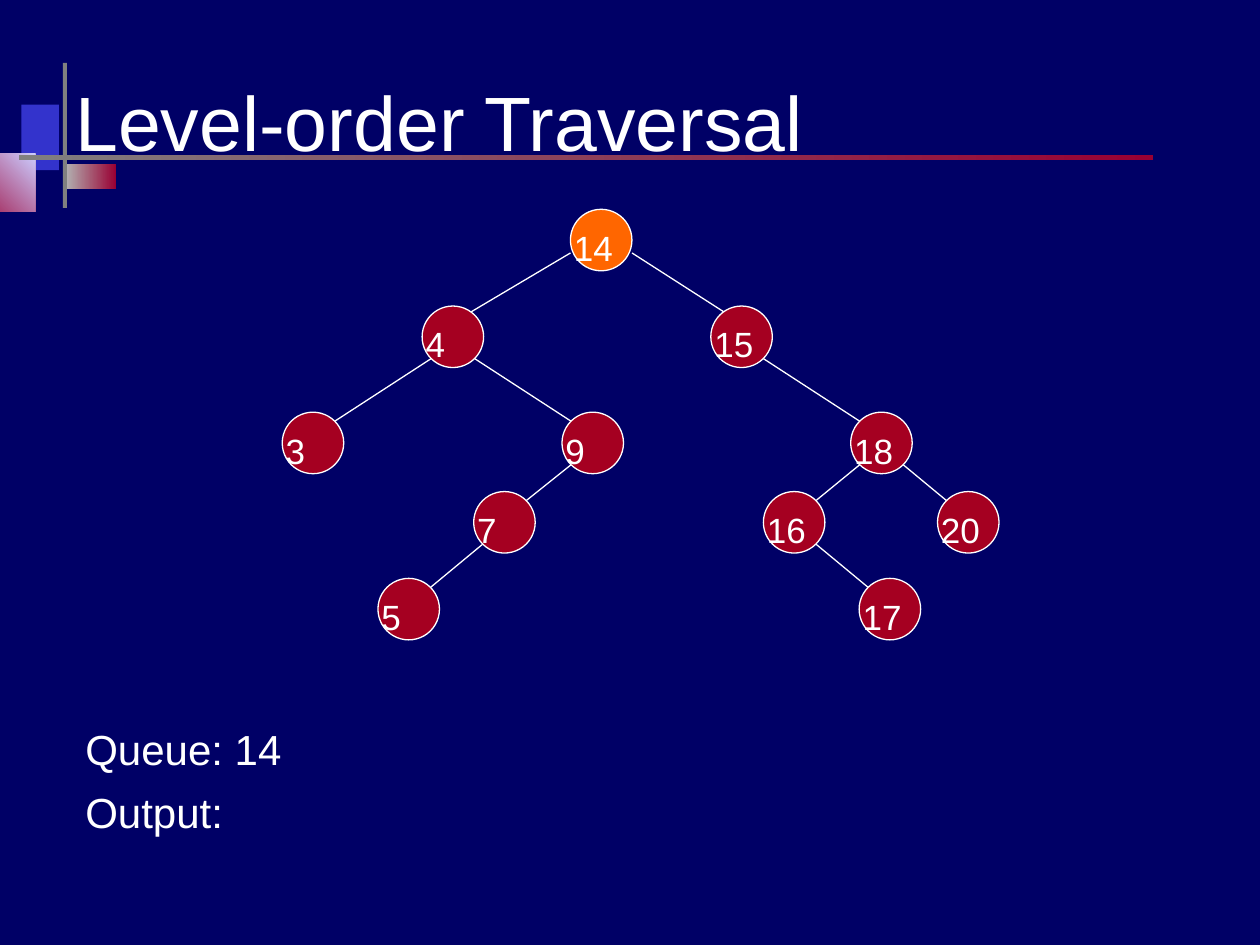
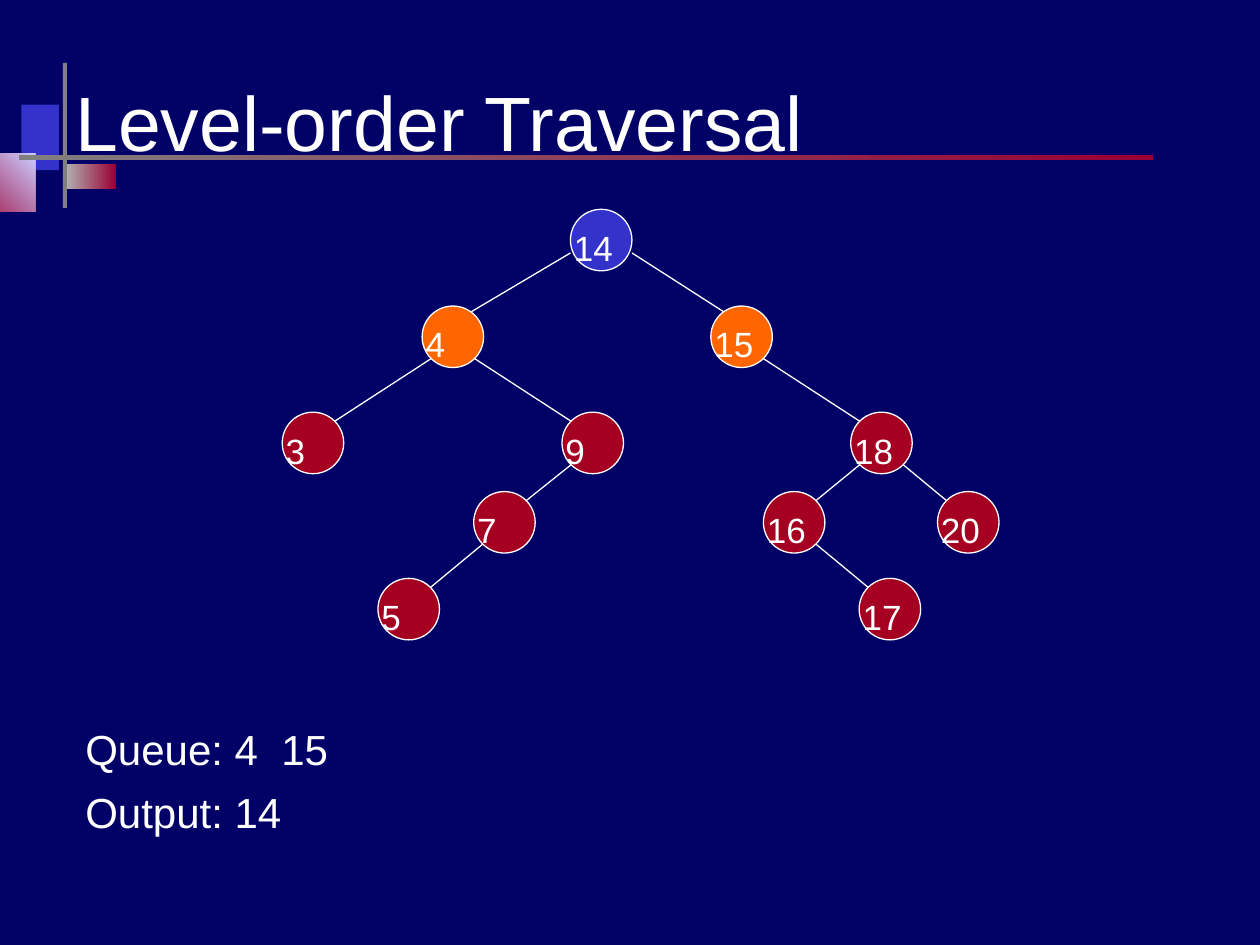
from pptx import Presentation
from pptx.dml.color import RGBColor
from pptx.enum.shapes import MSO_CONNECTOR, MSO_SHAPE
from pptx.enum.text import MSO_ANCHOR
from pptx.oxml.ns import qn
from pptx.util import Cm, Pt
from lxml.etree import SubElement

COLORS = {
    "background": "000066",
    "text": "FFFFFF",
    "visited": "3333CC",
    "queued": "FF6600",
    "waiting": "A50021",
    "block": "3333CC",
    "bar": "808080",
    "silver": "B2B2B2",
    "crimson": "990033",
    "lavender": "CCCCFF",
}
FONT = "Arial"

# Decoration: left, top, width, height, colours, gradient angle
DECORATION = [
    (0.43, 2.11, 0.76, 1.32, ["block"], 0),
    (1.32, 3.3, 1.02, 0.51, ["silver", "crimson"], 0),
    (-0.84, 3.1, 1.55, 1.17, ["crimson", "lavender"], 45),
    (1.27, 1.27, 0.08, 2.92, ["bar"], 0),
    (0.38, 3.12, 22.86, 0.1, ["bar", "crimson"], 0),
]

# Tree: top of each level, with the left edge of each key
DIAMETER = 1.24
LEVELS = [
    (4.22, {14: 11.5}),
    (6.17, {4: 8.51, 15: 14.33}),
    (8.31, {3: 5.69, 9: 11.33, 18: 17.15}),
    (9.91, {7: 9.55, 16: 15.39, 20: 18.9}),
    (11.66, {5: 7.62, 17: 17.32}),
]
NODES = {key: (left, top) for top, keys in LEVELS for key, left in keys.items()}
CHILDREN = {14: [4, 15], 4: [3, 9], 15: [18], 9: [7], 18: [16, 20], 7: [5], 16: [17]}
ROOT = 14
RIM = 0.18       # distance of an edge's end from the sides of a node's square
ROOT_RIM = 0.36

# Queue, output
STEPS = [([14], []), ([4, 15], [14])]


class Deck:
    def __init__(self):
        self.prs = Presentation()
        self.prs.slide_width, self.prs.slide_height = Cm(25.4), Cm(19.05)
        self.slide = None

    def color(self, name):
        return RGBColor.from_string(COLORS[name])

    def new_slide(self, title):
        self.slide = self.prs.slides.add_slide(self.prs.slide_layouts[6])
        fill = self.slide.background.fill
        fill.solid()
        fill.fore_color.rgb = self.color("background")
        for left, top, width, height, colors, angle in DECORATION:
            self.shape(MSO_SHAPE.RECTANGLE, left, top, width, height, colors, angle)
        self.text([title], 1.27, 1.02, 22.86, 2.54, 44, 0.4, MSO_ANCHOR.MIDDLE)

    def shape(self, kind, left, top, width, height, colors, angle=0, outlined=False):
        """Fill with one colour, or with a gradient when two are given."""
        shape = self.slide.shapes.add_shape(kind, Cm(left), Cm(top), Cm(width), Cm(height))
        shape.shadow.inherit = False
        if len(colors) == 1:
            shape.fill.solid()
            shape.fill.fore_color.rgb = self.color(colors[0])
        else:
            shape.fill.gradient()
            shape.fill.gradient_angle = angle
            for stop, name in zip(shape.fill.gradient_stops, colors):
                stop.color.rgb = self.color(name)
        if outlined:
            self.outline(shape.line)
        else:
            shape.line.fill.background()

    def outline(self, line):
        line.color.rgb = self.color("text")
        line.width = Pt(0.75)

    def text(self, lines, left, top, width, height, size, inset_top, anchor=MSO_ANCHOR.TOP):
        box = self.slide.shapes.add_textbox(Cm(left), Cm(top), Cm(width), Cm(height))
        frame = box.text_frame
        frame.word_wrap = True
        frame.vertical_anchor = anchor
        frame.margin_top = Cm(inset_top)
        frame.text = "\n".join(lines)
        for index, paragraph in enumerate(frame.paragraphs):
            if index:
                paragraph.space_before = Pt(7)
            for run in paragraph.runs:
                run.font.name = FONT
                run.font.size = Pt(size)
                run.font.color.rgb = self.color("text")

    def edge(self, parent, child):
        (x1, y1), (x2, y2) = NODES[parent], NODES[child]
        from_root = parent == ROOT
        start_rim = 0 if from_root else RIM
        end_rim = ROOT_RIM if from_root else RIM
        if x2 > x1:
            x1 += DIAMETER - start_rim
            x2 += end_rim
        else:
            x1 += start_rim
            x2 += DIAMETER - end_rim
        y1 += DIAMETER - (ROOT_RIM if from_root else RIM)
        y2 += RIM
        line = self.slide.shapes.add_connector(
            MSO_CONNECTOR.STRAIGHT, Cm(x1), Cm(y1), Cm(x2), Cm(y2))
        self.outline(line.line)
        SubElement(line._element.spPr, qn("a:effectLst"))

    def node(self, key, state):
        left, top = NODES[key]
        self.shape(MSO_SHAPE.OVAL, left, top, DIAMETER, DIAMETER, [state], outlined=True)
        self.text([str(key)], left - 0.18, top + 0.15, 1.58, 1.12, 20, 0.19)

    def tree(self, queue, output):
        for parent, children in CHILDREN.items():
            for child in children:
                self.edge(parent, child)
        for key in NODES:
            state = "queued" if key in queue else "visited" if key in output else "waiting"
            self.node(key, state)

    def progress(self, queue, output):
        rows = [("Queue:", queue), ("Output:", output)]
        lines = [f"{name} {'  '.join(map(str, keys))}".rstrip() for name, keys in rows]
        self.text(lines, 1.47, 14.4, 22.86, 2.54, 24, 0.19)


def main():
    deck = Deck()
    for queue, output in STEPS:
        deck.new_slide("Level-order Traversal")
        deck.progress(queue, output)
        deck.tree(queue, output)
    deck.prs.save("out.pptx")


if __name__ == "__main__":
    main()
